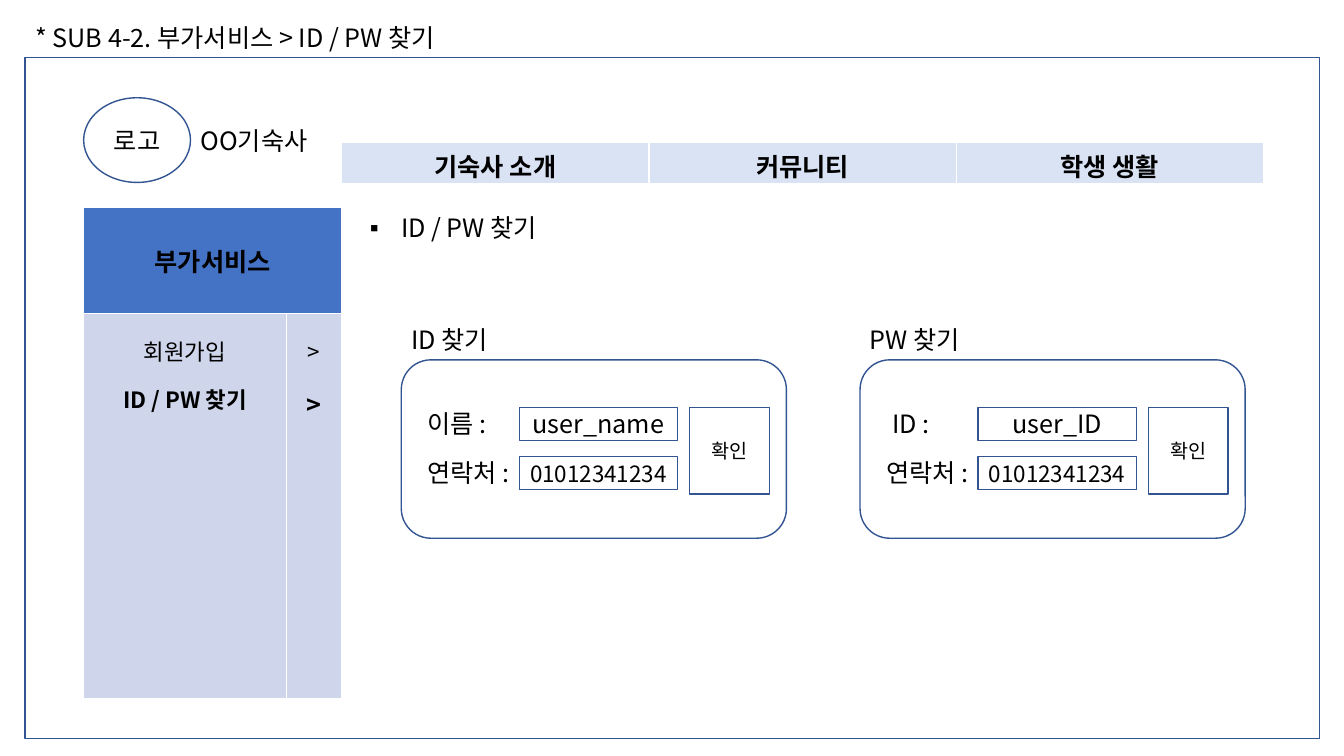
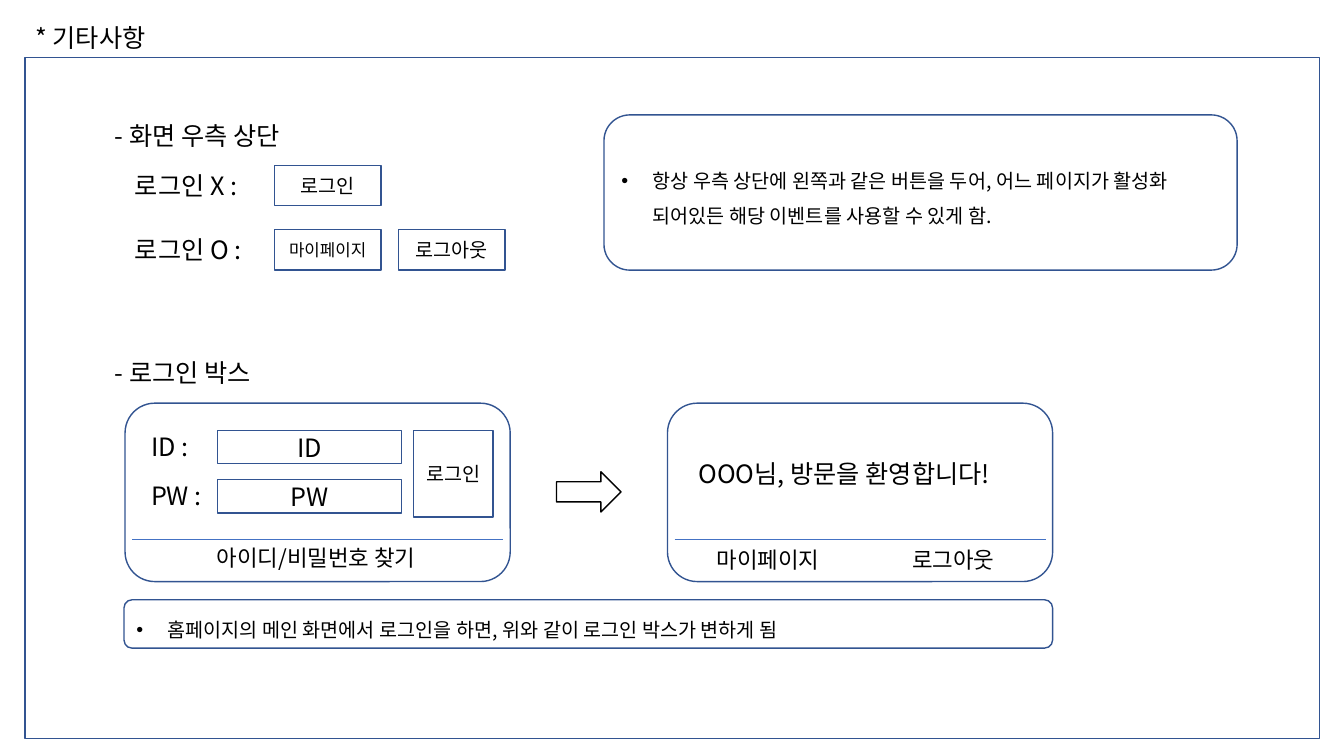
from lxml.etree import SubElement
from pptx import Presentation
from pptx.dml.color import RGBColor
from pptx.enum.shapes import MSO_CONNECTOR, MSO_SHAPE
from pptx.enum.text import MSO_ANCHOR, MSO_AUTO_SIZE, PP_ALIGN
from pptx.oxml.ns import qn
from pptx.util import Inches, Pt

FONT = "Noto Sans CJK KR"
BLACK = "000000"
OUTLINE = "325491"
ACCENT = "4472C4"
NAV_FILL = "DAE3F3"
MENU_FILL = "CFD5EA"
CARD_WIDTH, CARD_HEIGHT = 3.82, 1.77
LINE_HEIGHT = 0.4
ROW_PITCH = 0.49
FIELD_HEIGHT = 0.33


def color(hex_text):
    return RGBColor.from_string(hex_text)


def inches(*lengths):
    return [Inches(length) for length in lengths]


def format_paragraph(paragraph, size=18, bold=False, align=PP_ALIGN.LEFT, spacing=None):
    paragraph.alignment = align
    if spacing:
        paragraph.line_spacing = spacing
    for run in paragraph.runs:
        run.font.size = Pt(size)
        run.font.bold = bold
        run.font.color.rgb = color(BLACK)
        run.font.name = FONT
        SubElement(run._r.get_or_add_rPr(), qn("a:ea"), typeface=FONT)


def add_bullet(paragraph, symbol):
    properties = paragraph._p.get_or_add_pPr()
    properties.set("marL", str(Inches(0.31)))
    properties.set("indent", str(Inches(-0.31)))
    SubElement(properties, qn("a:buFont"), typeface="Arial")
    SubElement(properties, qn("a:buChar"), char=symbol)


def add_label(shapes, text, left, top, width, size=18, bullet=None):
    label = shapes.add_textbox(*inches(left, top, width, LINE_HEIGHT))
    frame = label.text_frame
    frame.word_wrap = True
    frame.auto_size = MSO_AUTO_SIZE.SHAPE_TO_FIT_TEXT
    frame.text = text
    if bullet:
        add_bullet(frame.paragraphs[0], bullet)
    format_paragraph(frame.paragraphs[0], size)


def add_outline(shapes, kind, left, top, width, height, line=OUTLINE):
    outline = shapes.add_shape(kind, *inches(left, top, width, height))
    outline.shadow.inherit = False
    outline.fill.background()
    outline.line.color.rgb = color(line)
    outline.line.width = Pt(1)
    return outline


def add_box(shapes, text, left, top, width, height, size=18, kind=MSO_SHAPE.RECTANGLE):
    """Draw an outlined button or field with centred text."""
    frame = add_outline(shapes, kind, left, top, width, height).text_frame
    frame.margin_left = frame.margin_right = Inches(0.05)
    frame.vertical_anchor = MSO_ANCHOR.MIDDLE
    frame.text = text
    format_paragraph(frame.paragraphs[0], size, align=PP_ALIGN.CENTER)


def add_note(shapes, text, left, top, width, height):
    note = add_outline(shapes, MSO_SHAPE.ROUNDED_RECTANGLE, left, top, width, height)
    note.fill.solid()
    note.fill.fore_color.rgb = color("FFFFFF")
    frame = note.text_frame
    frame.word_wrap = True
    frame.vertical_anchor = MSO_ANCHOR.MIDDLE
    frame.text = text
    add_bullet(frame.paragraphs[0], "•")
    format_paragraph(frame.paragraphs[0], 14, spacing=1.5)


def add_card(shapes, left, top):
    add_outline(shapes, MSO_SHAPE.ROUNDED_RECTANGLE, left, top, CARD_WIDTH, CARD_HEIGHT)


def add_divider(shapes, left, top):
    """Draw the rule above the links at the foot of a card."""
    start, y, end = inches(left + 0.07, top + 1.35, left + CARD_WIDTH - 0.07)
    divider = shapes.add_connector(MSO_CONNECTOR.STRAIGHT, start, y, end, y)
    divider.line.color.rgb = color(ACCENT)
    divider.line.width = Pt(0.5)
    SubElement(divider._element.spPr, qn("a:effectLst"))


def add_form(shapes, left, top, rows, button, first_row, field_left, field_width):
    """Draw a card with labelled fields and a button; offsets are from the card."""
    add_card(shapes, left, top)
    for index, (label, label_left, label_width, value, size) in enumerate(rows):
        row_top = top + first_row + index * ROW_PITCH
        add_box(shapes, value, left + field_left, row_top, field_width, FIELD_HEIGHT, size)
        add_label(shapes, label, left + label_left, row_top - 0.04, label_width)
    add_box(shapes, button, left + 2.86, top + first_row, 0.79, 0.86, 14)


def fill_cell(cell, fill, lines, anchor=MSO_ANCHOR.TOP, spacing=None):
    """Fill a cell with centred lines, each given as text, size and bold."""
    cell.fill.solid()
    cell.fill.fore_color.rgb = color(fill)
    cell.vertical_anchor = anchor
    cell.text_frame.text = "\n".join(text for text, _, _ in lines)
    for paragraph, (_, size, bold) in zip(cell.text_frame.paragraphs, lines):
        format_paragraph(paragraph, size, bold, PP_ALIGN.CENTER, spacing)


def add_navigation(shapes, left, top, width, height, items):
    bar = shapes.add_table(1, len(items), *inches(left, top, width, height)).table
    for cell, item in zip(bar.iter_cells(), items):
        fill_cell(cell, NAV_FILL, [(item, 18, True)])


def add_side_menu(shapes, left, top, heading, items, marks):
    menu = shapes.add_table(2, 2, *inches(left, top, 2.56, 4.87)).table
    menu.columns[0].width, menu.columns[1].width = inches(2.01, 0.55)
    menu.rows[0].height, menu.rows[1].height = inches(1.05, 3.82)
    menu.cell(0, 0).merge(menu.cell(0, 1))
    fill_cell(menu.cell(0, 0), ACCENT, [(heading, 18, True)], MSO_ANCHOR.MIDDLE)
    for column, lines in enumerate((items, marks)):
        fill_cell(menu.cell(1, column), MENU_FILL, lines, spacing=1.5)


def add_page(prs, title_text):
    """Add a slide with its heading and the page frame."""
    slide = prs.slides.add_slide(prs.slide_layouts[5])
    title = slide.shapes.title
    title.left, title.top, title.width, title.height = inches(0.25, 0.17, 12.84, LINE_HEIGHT)
    frame = title.text_frame
    frame.auto_size = MSO_AUTO_SIZE.NONE
    frame.vertical_anchor = MSO_ANCHOR.TOP
    frame.text = title_text
    format_paragraph(frame.paragraphs[0])
    add_outline(slide.shapes, MSO_SHAPE.RECTANGLE, 0.25, 0.57, 12.84, 6.76)
    return slide.shapes


def add_site_header(shapes, left, top):
    add_box(shapes, "로고", left, top, 1.06, 0.84, kind=MSO_SHAPE.OVAL)
    add_label(shapes, "OO기숙사", left + 1.06, top + 0.22, 1.5)
    add_navigation(shapes, left + 2.56, top + 0.44, 9.14, 0.41,
                   ["기숙사 소개", "커뮤니티", "학생 생활"])


def add_finder(shapes, left, top, heading, heading_width, first_row):
    """Draw a headed form that looks up an account."""
    finder = shapes.add_group_shape().shapes
    rows = [first_row, ("연락처 :", 0.16, 1.14, "01012341234", 16)]
    add_form(finder, left, top, rows, "확인", 0.47, 1.17, 1.57)
    add_label(finder, heading, left, top - LINE_HEIGHT, heading_width)


def add_login_box(shapes, left, top):
    login = shapes.add_group_shape().shapes
    rows = [("ID :", 0.16, 0.64, "ID", 18), ("PW :", 0.16, 0.9, "PW", 18)]
    add_form(login, left, top, rows, "로그인", 0.27, 0.92, 1.82)
    add_divider(login, left, top)
    add_label(login, "아이디/비밀번호 찾기", left + 0.81, top + 1.35, 2.39, 16)


def add_welcome_box(shapes, left, top):
    welcome = shapes.add_group_shape().shapes
    add_card(welcome, left, top)
    add_label(welcome, "OOO님, 방문을 환영합니다!", left + 0.21, top + 0.5, 3.39)
    add_divider(welcome, left, top)
    add_label(welcome, "마이페이지", left + 0.39, top + 1.37, 1.32, 16)
    add_label(welcome, "로그아웃", left + 2.33, top + 1.37, 1.1, 16)


def add_corner_buttons(shapes, left, top):
    """Draw the buttons shown for each login state."""
    add_label(shapes, "- 화면 우측 상단", left, top, 2.09)
    states = [
        ("로그인 X :", 0.5, [("로그인", 14)]),
        ("로그인 O :", 1.14, [("마이페이지", 12), ("로그아웃", 14)]),
    ]
    for state, offset, buttons in states:
        add_label(shapes, state, left + 0.2, top + offset, 1.48)
        for index, (text, size) in enumerate(buttons):
            add_box(shapes, text, left + 1.68 + index * 1.23, top + offset,
                    1.06, LINE_HEIGHT, size)


def build_account_search(prs):
    shapes = add_page(prs, "* SUB 4-2. 부가서비스 > ID / PW 찾기")
    add_site_header(shapes, 0.83, 0.97)
    add_side_menu(shapes, 0.83, 2.06, "부가서비스",
                  [("회원가입", 16, False), ("ID / PW 찾기", 16, True)],
                  [(">", 16, False), (">", 18, True)])
    add_label(shapes, "ID / PW 찾기", 3.57, 2.06, 2.74, bullet="▪")
    add_finder(shapes, 3.98, 3.57, "ID 찾기", 1.07, ("이름 :", 0.16, 0.79, "user_name", 18))
    add_finder(shapes, 8.53, 3.57, "PW 찾기", 1.3, ("ID :", 0.22, 0.79, "user_ID", 18))


def build_other_matters(prs):
    shapes = add_page(prs, "* 기타사항")
    add_corner_buttons(shapes, 1.04, 1.14)
    add_note(shapes, "항상 우측 상단에 왼쪽과 같은 버튼을 두어, 어느 페이지가 활성화 "
             "되어있든 해당 이벤트를 사용할 수 있게 함.", 5.99, 1.14, 6.28, 1.54)
    add_label(shapes, "- 로그인 박스", 1.04, 3.5, 1.75)
    add_login_box(shapes, 1.24, 4)
    add_outline(shapes, MSO_SHAPE.RIGHT_ARROW, 5.52, 4.68, 0.64, 0.4, BLACK)
    add_welcome_box(shapes, 6.62, 4)
    add_note(shapes, "홈페이지의 메인 화면에서 로그인을 하면, 위와 같이 로그인 박스가 변하게 됨",
             1.23, 5.95, 9.21, 0.48)


def main():
    prs = Presentation()
    prs.slide_width, prs.slide_height = inches(13.33, 7.5)
    build_account_search(prs)
    build_other_matters(prs)
    prs.save("out.pptx")


if __name__ == "__main__":
    main()
